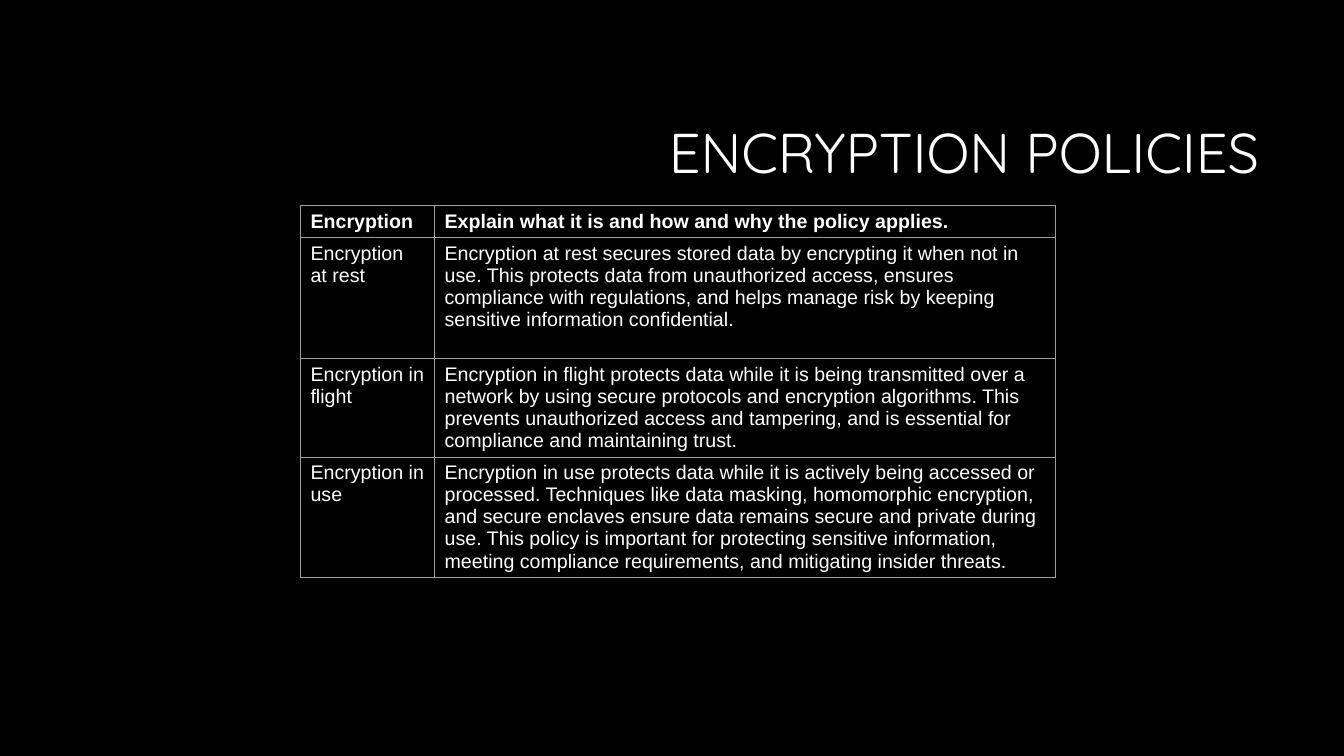
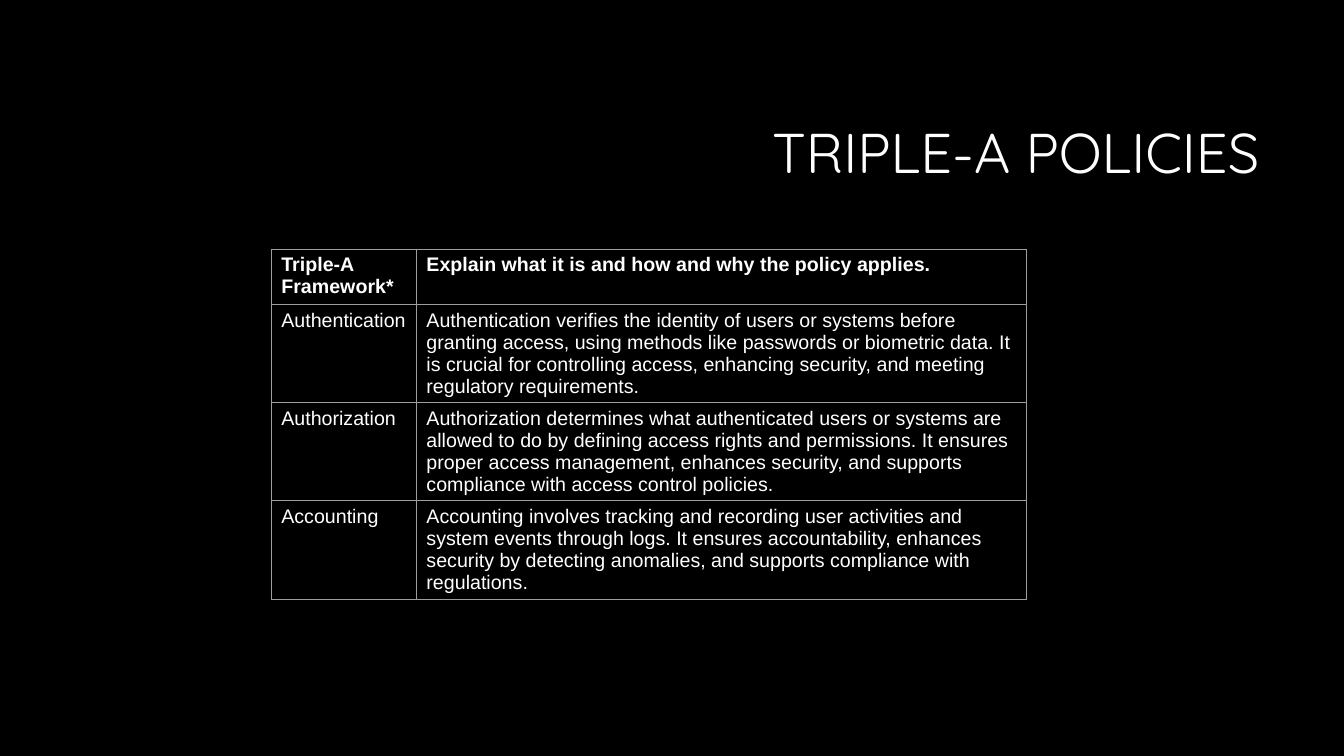
from dataclasses import dataclass

from pptx import Presentation
from pptx.dml.color import RGBColor
from pptx.enum.text import MSO_ANCHOR as Anchor, MSO_AUTO_SIZE as AutoSize, PP_ALIGN as Align
from pptx.oxml import parse_xml
from pptx.oxml.ns import nsdecls
from pptx.util import Inches, Pt


# Shared look
@dataclass(frozen=True)
class Theme:
    background: str = "000000"
    text: str = "FFFFFF"
    border: str = "9E9E9E"
    border_width: float = 0.75
    title_font: str = "Quicksand"
    title_size: int = 40
    table_font: str = "Arial"
    table_size: int = 14


THEME = Theme()
TITLE_ONLY = 5
TITLE_BOX = {"left": 3.17, "top": 0.84, "width": 9.42, "height": 1.41}
EXPLANATION_HEADER = "Explain what it is and how and why the policy applies."


# Content
@dataclass(frozen=True)
class PolicySlide:
    title: str
    position: tuple
    column_widths: tuple
    row_heights: tuple
    header_anchor: Anchor
    rows: tuple


POLICY_SLIDES = (
    PolicySlide(
        title="ENCRYPTION POLICIES",
        position=(2.98, 2.04),
        column_widths=(1.33, 6.16),
        row_heights=(0.32, 1.2, 0.97, 1.19),
        header_anchor=Anchor.BOTTOM,
        rows=(
            ("Encryption", EXPLANATION_HEADER),
            ("Encryption at rest",
             "Encryption at rest secures stored data by encrypting it when not in use. "
             "This protects data from unauthorized access, ensures compliance with "
             "regulations, and helps manage risk by keeping sensitive information "
             "confidential."),
            ("Encryption in flight",
             "Encryption in flight protects data while it is being transmitted over a "
             "network by using secure protocols and encryption algorithms. This prevents "
             "unauthorized access and tampering, and is essential for compliance and "
             "maintaining trust."),
            ("Encryption in use",
             "Encryption in use protects data while it is actively being accessed or "
             "processed. Techniques like data masking, homomorphic encryption, and secure "
             "enclaves ensure data remains secure and private during use. This policy is "
             "important for protecting sensitive information, meeting compliance "
             "requirements, and mitigating insider threats."),
        ),
    ),
    PolicySlide(
        title="TRIPLE-A POLICIES",
        position=(2.69, 2.47),
        column_widths=(1.44, 6.05),
        row_heights=(0.55, 0.97, 0.97, 0.97),
        header_anchor=Anchor.TOP,
        rows=(
            ("Triple-A Framework*", EXPLANATION_HEADER),
            ("Authentication",
             "Authentication verifies the identity of users or systems before granting "
             "access, using methods like passwords or biometric data. It is crucial for "
             "controlling access, enhancing security, and meeting regulatory requirements."),
            ("Authorization",
             "Authorization determines what authenticated users or systems are allowed to "
             "do by defining access rights and permissions. It ensures proper access "
             "management, enhances security, and supports compliance with access control "
             "policies."),
            ("Accounting",
             "Accounting involves tracking and recording user activities and system events "
             "through logs. It ensures accountability, enhances security by detecting "
             "anomalies, and supports compliance with regulations."),
        ),
    ),
)


# Formatting helpers
def set_attributes(target, values):
    for name, value in values.items():
        setattr(target, name, value)


def format_font(font, name, size, bold=False):
    set_attributes(font, {"name": name, "size": Pt(size), "bold": bold})
    font.color.rgb = RGBColor.from_string(THEME.text)


def add_borders(cell):
    properties = cell._tc.get_or_add_tcPr()
    for index, side in enumerate(("lnL", "lnR", "lnT", "lnB")):
        border = parse_xml(
            f'<a:{side} {nsdecls("a")} w="{Pt(THEME.border_width)}"><a:solidFill>'
            f'<a:srgbClr val="{THEME.border}"/></a:solidFill></a:{side}>')
        properties.insert(index, border)


# Slide elements
def set_background(presentation):
    fill = presentation.slide_master.background.fill
    fill.solid()
    fill.fore_color.rgb = RGBColor.from_string(THEME.background)


def add_title(slide, text):
    title = slide.shapes.title
    set_attributes(title, {name: Inches(value) for name, value in TITLE_BOX.items()})
    frame = title.text_frame
    frame.text = text
    set_attributes(frame, {"vertical_anchor": Anchor.MIDDLE, "word_wrap": True,
                           "auto_size": AutoSize.NONE})
    paragraph = frame.paragraphs[0]
    set_attributes(paragraph, {"alignment": Align.RIGHT, "line_spacing": 0.9})
    format_font(paragraph.font, THEME.title_font, THEME.title_size)


def fill_cell(cell, text, anchor, bold):
    cell.text = text
    cell.vertical_anchor = anchor
    cell.fill.background()
    add_borders(cell)
    format_font(cell.text_frame.paragraphs[0].runs[0].font,
                THEME.table_font, THEME.table_size, bold)


def add_policy_table(slide, policy):
    left, top = policy.position
    table = slide.shapes.add_table(
        len(policy.rows), len(policy.column_widths), Inches(left), Inches(top),
        Inches(sum(policy.column_widths)), Inches(sum(policy.row_heights))).table
    set_attributes(table, {"first_row": True, "horz_banding": False})
    for column, width in zip(table.columns, policy.column_widths):
        column.width = Inches(width)
    for row, height in zip(table.rows, policy.row_heights):
        row.height = Inches(height)
    for row_index, texts in enumerate(policy.rows):
        is_header = row_index == 0
        anchor = policy.header_anchor if is_header else Anchor.TOP
        for column_index, text in enumerate(texts):
            fill_cell(table.cell(row_index, column_index), text, anchor, is_header)


def main():
    presentation = Presentation()
    set_attributes(presentation, {"slide_width": Inches(13.33), "slide_height": Inches(7.5)})
    set_background(presentation)
    for policy in POLICY_SLIDES:
        slide = presentation.slides.add_slide(presentation.slide_layouts[TITLE_ONLY])
        add_title(slide, policy.title)
        add_policy_table(slide, policy)
    presentation.save("out.pptx")


if __name__ == "__main__":
    main()
